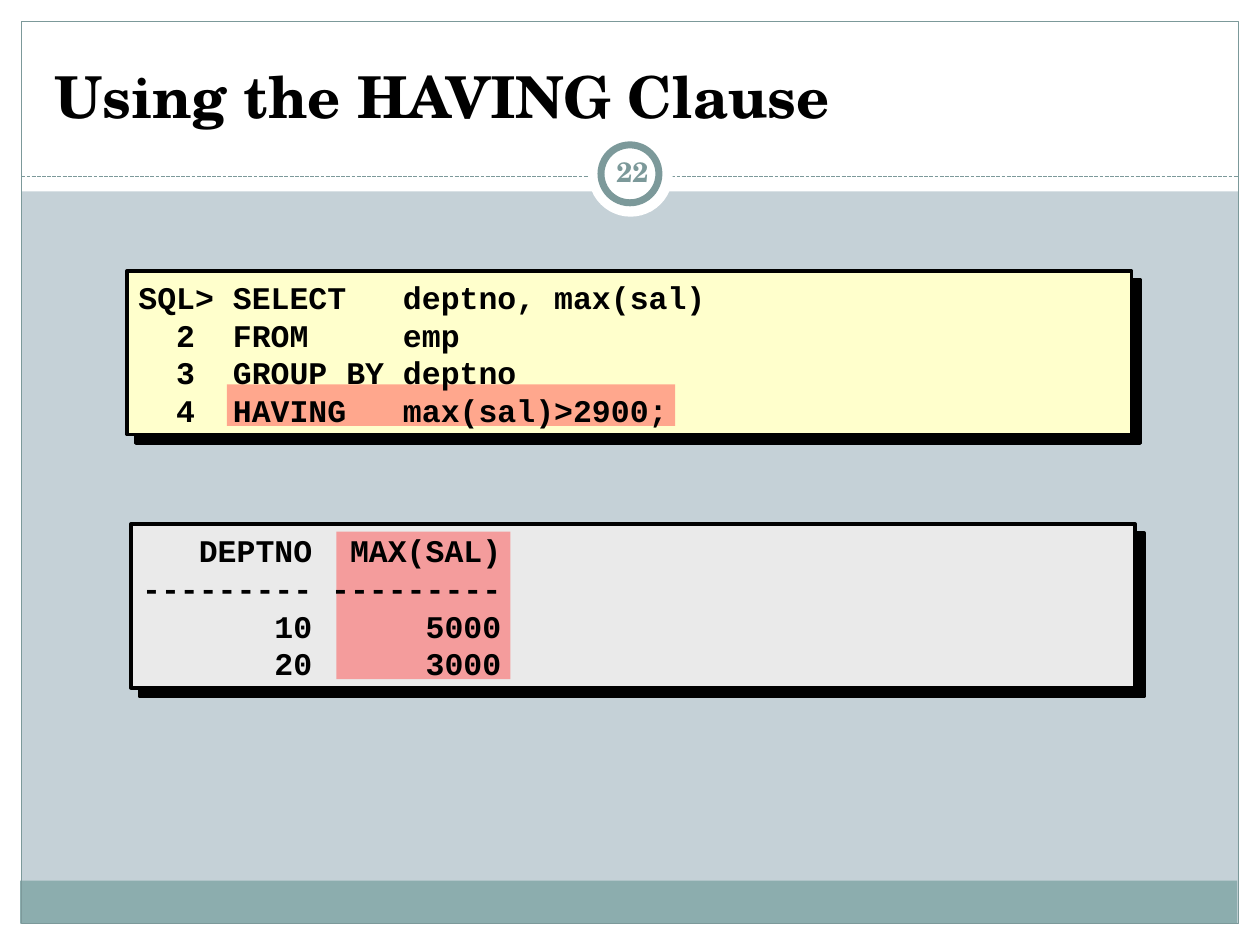
from dataclasses import dataclass
from typing import Optional

from lxml.etree import SubElement
from pptx import Presentation
from pptx.dml.color import RGBColor
from pptx.enum.dml import MSO_LINE
from pptx.enum.shapes import MSO_CONNECTOR, MSO_SHAPE
from pptx.enum.text import MSO_ANCHOR, PP_ALIGN
from pptx.oxml.ns import qn
from pptx.util import Inches, Pt

TITLE_FONT = "TeX Gyre Schola"
CODE_FONT = "Courier New"
TEAL = "7C999A"
WHITE = "FFFFFF"
BLACK = "000000"


@dataclass
class Block:
    left: float
    top: float
    width: float
    height: float
    fill: Optional[str] = None
    line: Optional[str] = None
    line_width: float = 0.75
    kind: MSO_SHAPE = MSO_SHAPE.RECTANGLE
    opacity: int = 100
    hard_shadow: bool = False


@dataclass
class Listing:
    panel: Block
    highlight: Block
    text: str


FRAME = [
    Block(0, 7.33, 10, 0.17, WHITE),
    Block(0, 0, 10, 1.52, WHITE),
    Block(0, 0, 0.17, 7.5, WHITE),
    Block(9.83, 0, 0.17, 7.5, WHITE),
    Block(0.16, 6.99, 9.66, 0.34, "8CADAE"),
    Block(0.17, 0.17, 9.66, 7.16, line=TEAL),
]
BADGE = [
    Block(4.67, 1.05, 0.67, 0.67, WHITE, kind=MSO_SHAPE.OVAL),
    Block(4.77, 1.15, 0.46, 0.46, WHITE, TEAL, 4, MSO_SHAPE.OVAL),
]
LISTINGS = [
    Listing(
        Block(1.01, 2.15, 7.97, 1.3, "FFFFCC", BLACK, 2, hard_shadow=True),
        Block(1.8, 3.05, 3.56, 0.33, "FF5050", opacity=50),
        "SQL> SELECT   deptno, max(sal)\n"
        "  2  FROM     emp\n"
        "  3  GROUP BY deptno\n"
        "  4  HAVING   max(sal)>2900;",
    ),
    Listing(
        Block(1.04, 4.16, 7.97, 1.3, "EAEAEA", BLACK, 2, hard_shadow=True),
        Block(2.67, 4.22, 1.38, 1.17, "FF5050", opacity=50),
        "   DEPTNO  MAX(SAL)\n"
        "--------- ---------\n"
        "       10      5000\n"
        "       20      3000",
    ),
]


def color(value: str) -> RGBColor:
    return RGBColor.from_string(value)


def add_hard_shadow(shape) -> None:
    effects = shape._element.spPr.find(qn("a:effectLst"))
    shadow = SubElement(effects, qn("a:outerShdw"), dist=str(Pt(7.1)),
                        dir="2700000", algn="ctr", rotWithShape="0")
    SubElement(shadow, qn("a:srgbClr"), val=BLACK)


def add_block(slide, block: Block) -> None:
    shape = slide.shapes.add_shape(
        block.kind, Inches(block.left), Inches(block.top),
        Inches(block.width), Inches(block.height))
    shape.shadow.inherit = False
    if block.fill:
        shape.fill.solid()
        shape.fill.fore_color.rgb = color(block.fill)
    else:
        shape.fill.background()
    if block.line:
        shape.line.color.rgb = color(block.line)
        shape.line.width = Pt(block.line_width)
    else:
        shape.line.fill.background()
    if block.opacity < 100:
        fill_color = shape._element.spPr.find(".//" + qn("a:srgbClr"))
        SubElement(fill_color, qn("a:alpha"), val=str(block.opacity * 1000))
    if block.hard_shadow:
        add_hard_shadow(shape)


def add_divider(slide) -> None:
    divider = slide.shapes.add_connector(
        MSO_CONNECTOR.STRAIGHT, Inches(0.17), Inches(1.4), Inches(9.83), Inches(1.4))
    divider.line.color.rgb = color(TEAL)
    divider.line.width = Pt(0.75)
    divider.line.dash_style = MSO_LINE.SQUARE_DOT
    SubElement(divider._element.spPr, qn("a:effectLst"))


def format_text(text_frame, font: str, size: float, text_color: str,
                alignment: PP_ALIGN = PP_ALIGN.LEFT) -> None:
    text_frame.word_wrap = True
    for paragraph in text_frame.paragraphs:
        paragraph.alignment = alignment
        for run in paragraph.runs:
            run.font.name = font
            run.font.size = Pt(size)
            run.font.bold = True
            run.font.color.rgb = color(text_color)


def add_listing_text(slide, listing: Listing) -> None:
    panel = listing.panel
    box = slide.shapes.add_textbox(
        Inches(panel.left - 0.01), Inches(panel.top - 0.01), Inches(8), Inches(1.33))
    text_frame = box.text_frame
    text_frame.text = listing.text
    text_frame.vertical_anchor = MSO_ANCHOR.MIDDLE
    format_text(text_frame, CODE_FONT, 18, BLACK)


def add_title(slide) -> None:
    title = slide.shapes.title
    title.left, title.top = Inches(0.33), Inches(0.25)
    title.width, title.height = Inches(9.33), Inches(0.83)
    title.text_frame.text = "Using the HAVING Clause"
    title.text_frame.vertical_anchor = MSO_ANCHOR.BOTTOM
    format_text(title.text_frame, TITLE_FONT, 33, BLACK)
    slide.shapes._spTree.append(title._element)


def add_slide_number(slide) -> None:
    box = slide.shapes.add_textbox(Inches(4.77), Inches(1.12), Inches(0.5), Inches(0.48))
    text_frame = box.text_frame
    text_frame.margin_left = text_frame.margin_right = Inches(0.05)
    text_frame.vertical_anchor = MSO_ANCHOR.MIDDLE
    text_frame.text = "22"
    format_text(text_frame, TITLE_FONT, 16, TEAL, PP_ALIGN.CENTER)


def main() -> None:
    presentation = Presentation()
    presentation.slide_width = Inches(10)
    presentation.slide_height = Inches(7.5)
    slide = presentation.slides.add_slide(presentation.slide_layouts[5])
    slide.background.fill.solid()
    slide.background.fill.fore_color.rgb = color("C5D1D7")

    for block in FRAME:
        add_block(slide, block)
    add_divider(slide)
    for block in BADGE + [listing.panel for listing in LISTINGS]:
        add_block(slide, block)
    add_title(slide)
    for listing in LISTINGS:
        add_block(slide, listing.highlight)
    for listing in LISTINGS:
        add_listing_text(slide, listing)
    add_slide_number(slide)
    presentation.save("out.pptx")


if __name__ == "__main__":
    main()
